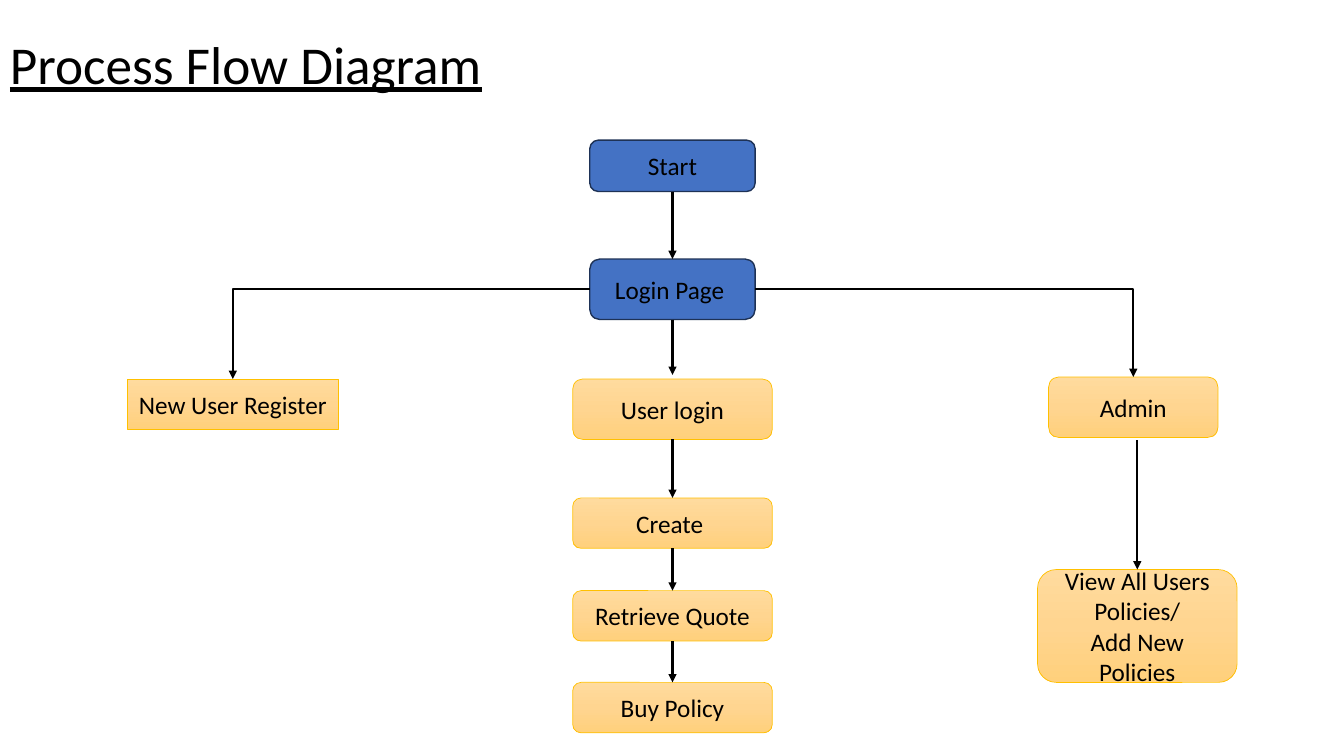
import copy

import pptx
import pptx.dml.color
import pptx.enum.shapes
import pptx.enum.text
import pptx.oxml
import pptx.oxml.ns
import pptx.util

Inches = pptx.util.Inches
Pt = pptx.util.Pt
SHAPE = pptx.enum.shapes.MSO_SHAPE
CONNECTOR = pptx.enum.shapes.MSO_CONNECTOR
qn = pptx.oxml.ns.qn

COLORS = {
    "text": "000000",
    "blue": "4472C4",
    "blue_line": "1E3256",
    "gold_top": "FFDB9E",
    "gold_mid": "FFD590",
    "gold_bottom": "FFD07C",
    "gold_line": "FFC000",
}
TOP, BOTTOM = 0, 2
MID_X = 6.67  # axis of the central column


def rgb(name):
    return pptx.dml.color.RGBColor.from_string(COLORS[name])


def set_text(tf, lines, align, spacing=None, **extra):
    tf.word_wrap = True
    tf.vertical_anchor = pptx.enum.text.MSO_ANCHOR.MIDDLE
    font_format = {"name": "Calibri", "size": Pt(18), **extra}
    for i, line in enumerate(lines):
        p = tf.paragraphs[0] if i == 0 else tf.add_paragraph()
        p.alignment = align
        p.line_spacing = spacing
        r = p.add_run()
        r.text = line
        for key, value in font_format.items():
            setattr(r.font, key, value)
        r.font.color.rgb = rgb("text")


def add_title(s, text):
    sp = s.shapes.add_textbox(Inches(0), Inches(0.09), Inches(11.5), Inches(1.15))
    set_text(sp.text_frame, [text], pptx.enum.text.PP_ALIGN.LEFT, 0.9,
             size=Pt(38), underline=True)


def fill_gold(sp):
    sp.fill.gradient()
    sp.fill.gradient_angle = 270
    gs_list = sp._element.spPr.find(".//" + qn("a:gsLst"))
    gs_list.insert(1, copy.deepcopy(gs_list[0]))
    names = ("gold_top", "gold_mid", "gold_bottom")
    for i, (stop, name) in enumerate(zip(sp.fill.gradient_stops, names)):
        stop.position = i / 2
        stop.color.rgb = rgb(name)


def add_step(s, lines, center, top, width, height, blue=False,
             kind=SHAPE.ROUNDED_RECTANGLE):
    sp = s.shapes.add_shape(kind, Inches(center - width / 2), Inches(top),
                            Inches(width), Inches(height))
    sp.shadow.inherit = False
    if blue:
        sp.fill.solid()
        sp.fill.fore_color.rgb = rgb("blue")
    else:
        fill_gold(sp)
    sp.line.color.rgb = rgb("blue_line" if blue else "gold_line")
    sp.line.width = Pt(1 if blue else 0.5)
    set_text(sp.text_frame, lines, pptx.enum.text.PP_ALIGN.CENTER)
    return sp


def add_arrow(s, start, end, source=None, target=None, bent=False):
    kind = CONNECTOR.ELBOW if bent else CONNECTOR.STRAIGHT
    c = s.shapes.add_connector(kind, *map(Inches, start + end))
    if source is not None:
        c.begin_connect(source, BOTTOM)
    if target is not None:
        c.end_connect(target, TOP)
    c.line.color.rgb = rgb("text")
    c.line.width = Pt(1.5)
    ns = pptx.oxml.ns.nsdecls("a")
    spPr = c._element.spPr
    if bent:  # a single corner: across, then down
        spPr.find(qn("a:prstGeom")).set("prst", "bentConnector2")
    spPr.find(qn("a:ln")).append(
        pptx.oxml.parse_xml(f'<a:tailEnd {ns} type="triangle"/>'))
    spPr.append(pptx.oxml.parse_xml(f"<a:effectLst {ns}/>"))


def main():
    prs = pptx.Presentation()
    prs.slide_width, prs.slide_height = Inches(13.33), Inches(7.5)
    s = prs.slides.add_slide(prs.slide_layouts[6])
    add_title(s, "Process Flow Diagram")

    # Central column
    start = add_step(s, ["Start"], MID_X, 1.39, 1.64, 0.51, blue=True)
    login = add_step(s, ["Login Page "], MID_X, 2.57, 1.64, 0.6, blue=True)
    user = add_step(s, ["User login"], MID_X, 3.76, 1.98, 0.6)
    create, quote, buy = [
        add_step(s, [text], MID_X, top, 1.98, 0.5)
        for text, top in (("Create ", 4.94), ("Retrieve Quote", 5.86),
                          ("Buy Policy", 6.77))]

    # Side branches
    add_step(s, ["New User Register"], 2.31, 3.76, 2.1, 0.5, kind=SHAPE.RECTANGLE)
    add_step(s, ["Admin"], 11.24, 3.74, 1.68, 0.6)
    policies = add_step(s, ["View All Users Policies/", "Add New Policies"],
                        11.28, 5.65, 1.98, 1.12)

    # Straight arrows
    for source, target in ((start, login), (user, create), (create, quote),
                           (quote, buy)):
        add_arrow(s, (MID_X, 0), (MID_X, 1), source, target)
    add_arrow(s, (MID_X, 3.17), (MID_X, 3.72), source=login)
    add_arrow(s, (11.28, 4.37), (11.28, 5.65), target=policies)

    # Bent arrows from the login page
    add_arrow(s, (5.85, 2.87), (2.31, 3.76), bent=True)
    add_arrow(s, (7.49, 2.87), (11.24, 3.74), bent=True)

    prs.save("out.pptx")


if __name__ == "__main__":
    main()
